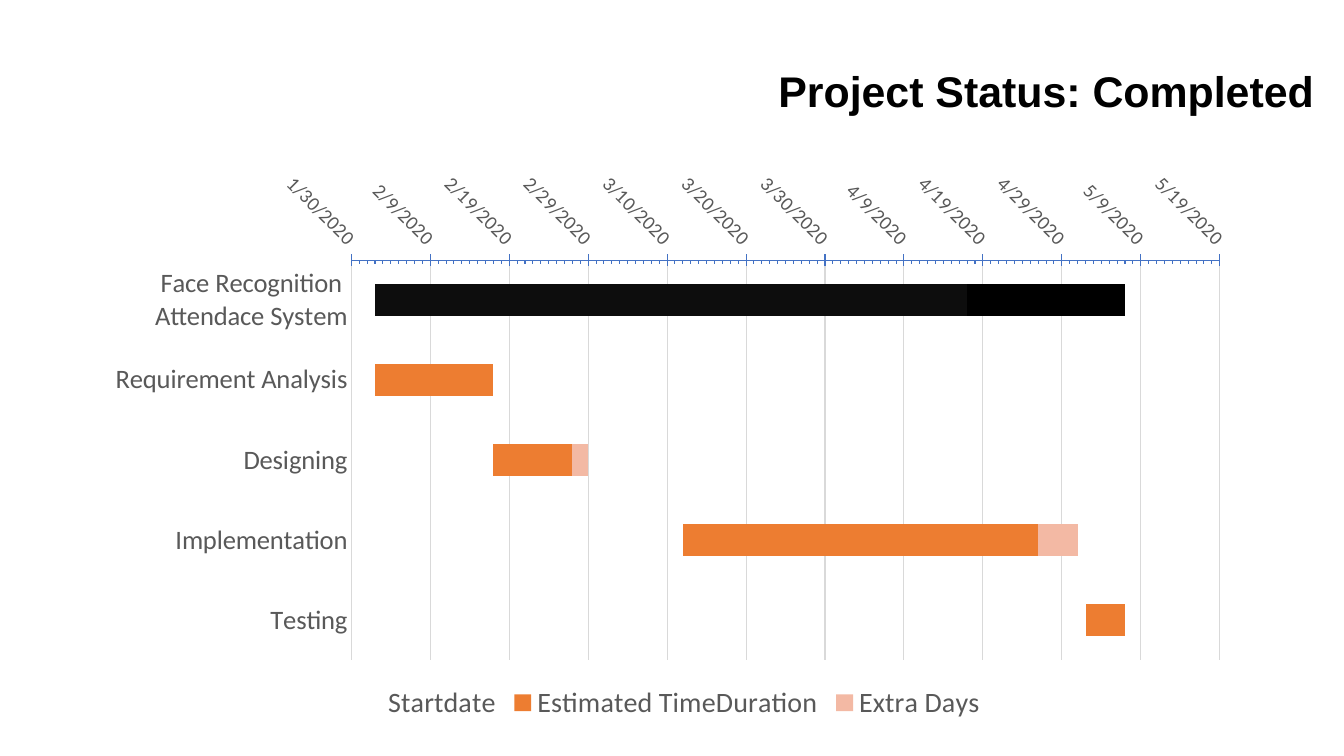
from lxml import etree
from pptx import Presentation
from pptx.chart.data import CategoryChartData
from pptx.dml.color import RGBColor
from pptx.enum.chart import XL_CHART_TYPE as ChartType
from pptx.enum.chart import XL_LEGEND_POSITION as LegendPosition
from pptx.enum.chart import XL_TICK_MARK as TickMark
from pptx.enum.text import MSO_ANCHOR, MSO_AUTO_SIZE, PP_ALIGN
from pptx.oxml import parse_xml
from pptx.oxml.ns import nsdecls, qn
from pptx.util import Inches, Pt

GREY = "595959"
FIRST_DAY = 43860  # 1/30/2020 as a spreadsheet date
TASKS = [  # name, start date, estimated days, extra days
    ("Face Recognition\nAttendace System", 43863, 75, 20),
    ("Requirement Analysis", 43863, 15, 0),
    ("Designing", 43878, 10, 2),
    ("Implementation", 43902, 45, 5),
    ("Testing", 43953, 5, 0),
]
# series name, bar colour, colour of the whole-project bar
SERIES = [
    ("Startdate", None, None),
    ("Estimated TimeDuration", "ED7D31", "0D0D0D"),
    ("Extra Days", "F3B9A4", "000000"),
]


def rgb(hex_code):
    return RGBColor.from_string(hex_code)


def style_font(font, name, size, color, bold=False):
    font.name = name
    font.size = Pt(size)
    font.bold = bold
    font.color.rgb = rgb(color)


def style_line(line, color):
    line.color.rgb = rgb(color)
    line.width = Pt(0.75)


def paint(fill, color):
    if color is None:
        fill.background()
    else:
        fill.solid()
        fill.fore_color.rgb = rgb(color)


def set_title(slide, text):
    title = slide.shapes.title
    title.left, title.top = Inches(7.62), Inches(0.61)
    title.width, title.height = Inches(5.71), Inches(0.64)
    frame = title.text_frame
    frame.text = text
    frame.word_wrap = True
    frame.auto_size = MSO_AUTO_SIZE.NONE
    frame.vertical_anchor = MSO_ANCHOR.MIDDLE
    paragraph = frame.paragraphs[0]
    paragraph.alignment = PP_ALIGN.LEFT
    paragraph.line_spacing = 0.9
    style_font(paragraph.runs[0].font, "Arial", 30.6, "000000", bold=True)


def place_plot(chart, x, y, w, h):
    """Fix the inner plot area, in fractions of the chart."""
    plot_area = chart._chartSpace.chart.plotArea
    for layout in plot_area.findall(qn("c:layout")):
        plot_area.remove(layout)
    layout = parse_xml(f"<c:layout {nsdecls('c')}><c:manualLayout/></c:layout>")
    settings = {"layoutTarget": "inner", "xMode": "edge", "yMode": "edge",
                "x": x, "y": y, "w": w, "h": h}
    for tag, value in settings.items():
        etree.SubElement(layout[0], qn(f"c:{tag}")).set("val", str(value))
    plot_area.insert(0, layout)


def format_task_axis(axis):
    axis.reverse_order = True
    axis.has_major_gridlines = False
    axis.major_tick_mark = axis.minor_tick_mark = TickMark.NONE
    axis.format.line.fill.background()
    style_font(axis.tick_labels.font, "Calibri", 19, GREY)


def format_date_axis(axis):
    axis.minimum_scale = FIRST_DAY
    axis.maximum_scale = FIRST_DAY + 110
    axis.major_unit, axis.minor_unit = 10, 1
    axis.major_tick_mark = TickMark.CROSS
    axis.minor_tick_mark = TickMark.INSIDE
    axis.has_major_gridlines = True
    style_line(axis.major_gridlines.format.line, "D9D9D9")
    style_line(axis.format.line, "4472C4")
    labels = axis.tick_labels
    labels.number_format = "m/d/yyyy"
    labels.number_format_is_linked = False
    style_font(labels.font, "Calibri", 14, GREY)
    body = axis._element.find(qn("c:txPr")).find(qn("a:bodyPr"))
    body.set("rot", str(45 * 60000))
    body.set("vert", "horz")


def add_gantt(slide):
    names, *columns = zip(*TASKS)
    data = CategoryChartData()
    data.categories = names
    for (series_name, _, _), values in zip(SERIES, columns):
        data.add_series(series_name, values)
    chart = slide.shapes.add_chart(
        ChartType.BAR_STACKED, Inches(0.92), Inches(1.6),
        Inches(11.5), Inches(5.6), data).chart
    style_font(chart.font, "Calibri", 10, "000000")
    chart.has_title = False

    plot = chart.plots[0]
    plot.gap_width, plot.overlap = 150, 100
    plot.vary_by_categories = False
    for series, (_, color, project_color) in zip(plot.series, SERIES):
        series.invert_if_negative = False
        paint(series.format.fill, color)
        if project_color:
            paint(series.points[0].format.fill, project_color)

    format_task_axis(chart.category_axis)
    format_date_axis(chart.value_axis)
    place_plot(chart, 0.223, 0.175, 0.749, 0.709)

    chart.has_legend = True
    chart.legend.position = LegendPosition.BOTTOM
    chart.legend.include_in_layout = False
    style_font(chart.legend.font, "Calibri", 20, GREY)


def main():
    deck = Presentation()
    deck.slide_width, deck.slide_height = Inches(13.33), Inches(7.5)
    slide = deck.slides.add_slide(deck.slide_layouts[5])
    set_title(slide, "Project Status: Completed")
    add_gantt(slide)
    deck.save("out.pptx")


if __name__ == "__main__":
    main()
